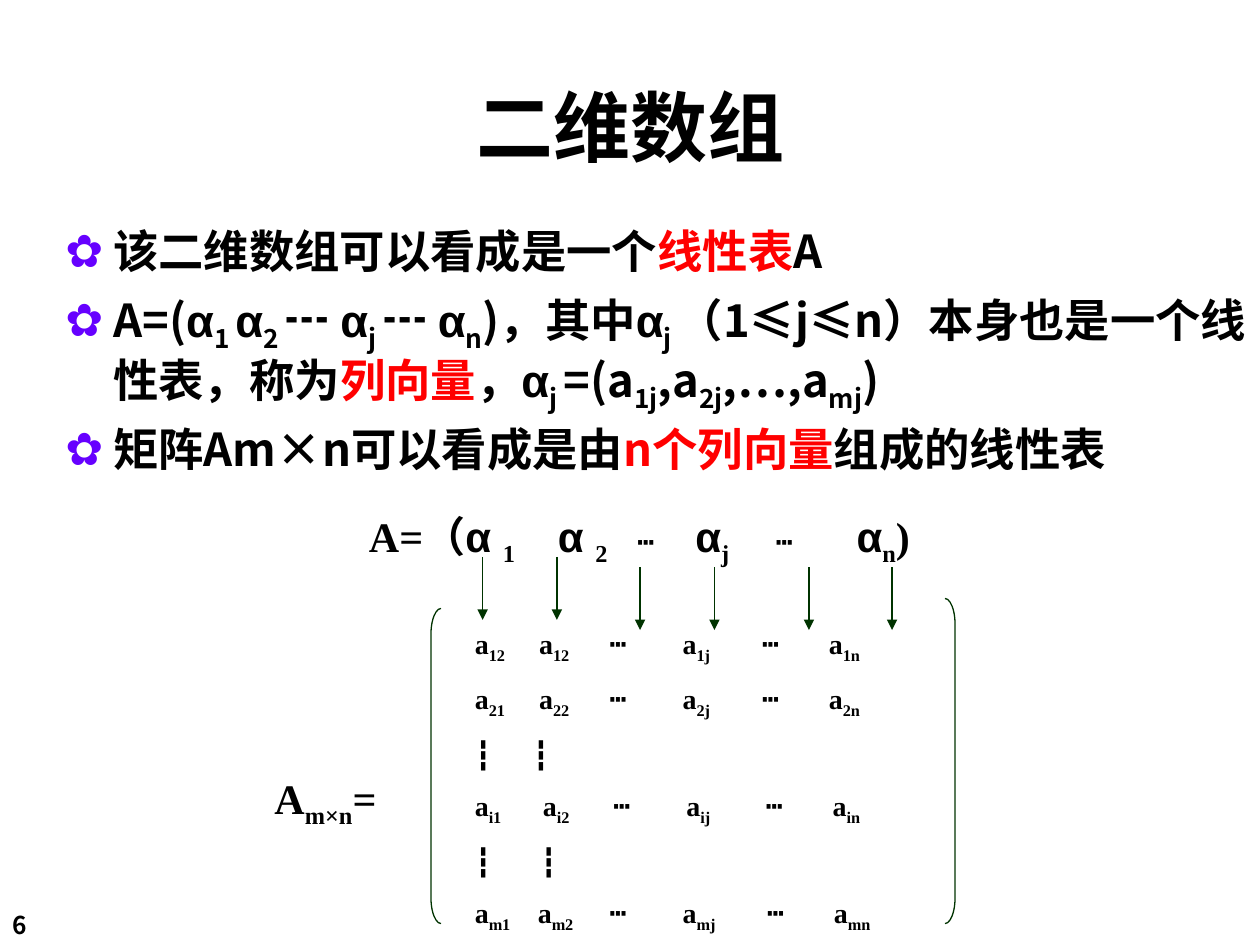
from dataclasses import dataclass

from lxml.etree import SubElement
from pptx import Presentation
from pptx.dml.color import RGBColor
from pptx.enum.shapes import MSO_CONNECTOR, MSO_SHAPE
from pptx.enum.text import MSO_ANCHOR, PP_ALIGN
from pptx.oxml.ns import qn
from pptx.util import Inches, Pt


@dataclass(frozen=True)
class Theme:
    ink: str = "000000"
    accent: str = "FF0000"
    bullet: str = "6600FF"
    line: str = "003300"
    sans: str = "Noto Sans CJK SC"
    serif: str = "Times New Roman"
    greek: str = "Arial"
    title_size: float = 44
    body_size: float = 25.9
    formula_size: float = 24
    matrix_size: float = 16
    number_size: float = 14
    line_width: float = 0.75


class SlideBuilder:
    def __init__(self, slide, theme):
        self.slide = slide
        self.theme = theme

    def run(self, paragraph, text, style, size, face):
        """Add text in a style: plain, sub, red, greek or small."""
        theme = self.theme
        run = paragraph.add_run()
        run.text = text
        name = theme.greek if style == "greek" else face
        points = theme.matrix_size if style == "small" else size
        font_values = {"name": name, "size": Pt(points), "bold": True}
        for key, value in font_values.items():
            setattr(run.font, key, value)
        color = theme.accent if style == "red" else theme.ink
        run.font.color.rgb = RGBColor.from_string(color)
        properties = run.font._element
        SubElement(properties, qn("a:ea"), typeface=name)
        if style == "sub":
            properties.set("baseline", "-25000")

    def bullet(self, paragraph):
        properties = paragraph._p.get_or_add_pPr()
        properties.set("marL", str(Inches(0.38)))
        properties.set("indent", str(-Inches(0.38)))
        color = SubElement(properties, qn("a:buClr"))
        SubElement(color, qn("a:srgbClr"), val=self.theme.bullet)
        SubElement(properties, qn("a:buFont"), typeface=self.theme.greek)
        SubElement(properties, qn("a:buChar"), char="✿")

    def tabs(self, paragraph, stops):
        tab_list = SubElement(paragraph._p.get_or_add_pPr(), qn("a:tabLst"))
        for stop in stops:
            SubElement(tab_list, qn("a:tab"), pos=str(Inches(stop)), algn="l")

    def text(self, box, paragraphs, size, face, stops=None, bullets=False,
             anchor=MSO_ANCHOR.TOP, paragraph_format=None, gap=0):
        """Write paragraphs of (text, style) pairs, with tab stops for each."""
        frame = self.slide.shapes.add_textbox(*map(Inches, box)).text_frame
        for key, value in {"word_wrap": True, "vertical_anchor": anchor}.items():
            setattr(frame, key, value)
        for index, parts in enumerate(paragraphs):
            paragraph = frame.add_paragraph() if index else frame.paragraphs[0]
            if bullets:
                self.bullet(paragraph)
            if stops:
                self.tabs(paragraph, stops[index])
            for key, value in (paragraph_format or {}).items():
                setattr(paragraph, key, value)
            if index:
                paragraph.space_before = Pt(gap)
            for part, style in parts:
                self.run(paragraph, part, style, size, face)

    def outline(self, line):
        line.color.rgb = RGBColor.from_string(self.theme.line)
        line.width = Pt(self.theme.line_width)

    def bracket(self, kind, box):
        shape = self.slide.shapes.add_shape(kind, *map(Inches, box))
        shape.shadow.inherit = False
        shape.fill.background()
        shape.adjustments[0] = 2.6
        self.outline(shape.line)

    def down_arrow(self, x, top, length=0.5):
        arrow = self.slide.shapes.add_connector(
            MSO_CONNECTOR.STRAIGHT,
            *map(Inches, (x, top, x, top + length)))
        self.outline(arrow.line)
        SubElement(arrow.line._get_or_add_ln(), qn("a:tailEnd"), type="triangle")
        SubElement(arrow._element.spPr, qn("a:effectLst"))


def matrix_row(row, first_column="1"):
    parts = []
    for column in (first_column, "2", None, "j", None, "n"):
        if parts:
            parts.append(("\t", "plain"))
        if column:
            parts += [("a", "plain"), (row + column, "sub")]
        else:
            parts.append(("┅", "plain"))
    return parts


def main():
    deck = Presentation()
    deck.slide_width, deck.slide_height = Inches(10), Inches(7.5)
    theme = Theme()
    page = SlideBuilder(deck.slides.add_slide(deck.slide_layouts[6]), theme)

    page.text((0, 7.17, 0.83, 0.34), [[("6", "plain")]],
              theme.number_size, theme.sans)
    page.text((0.42, 0.5, 9.17, 1), [[("二维数组", "plain")]],
              theme.title_size, theme.sans, anchor=MSO_ANCHOR.MIDDLE,
              paragraph_format={"alignment": PP_ALIGN.CENTER})

    alpha = ("α", "greek")
    statements = [
        [("该二维数组可以看成是一个", "plain"), ("线性表", "red"), ("A", "plain")],
        [("A=(", "plain"), alpha, ("1 ", "sub"), alpha, ("2 ", "sub"),
         ("┅ ", "plain"), alpha, ("j ", "sub"), ("┅ ", "plain"),
         alpha, ("n", "sub"), (")，其中", "plain"), alpha, ("j ", "sub"),
         ("（1≤j≤n）本身也是一个线性表，称为", "plain"), ("列向量", "red"),
         ("，", "plain"), alpha, ("j ", "sub"), ("=(a", "plain"),
         ("1j", "sub"), (",a", "plain"), ("2j", "sub"),
         (",…,a", "plain"), ("mj", "sub"), (")", "plain")],
        [("矩阵Am×n可以看成是由", "plain"), ("n个列向量", "red"),
         ("组成的线性表", "plain")],
    ]
    page.text((0.42, 1.75, 9.58, 2.25), statements, theme.body_size, theme.sans,
              bullets=True, gap=7, paragraph_format={"line_spacing": 0.97})

    tab, dots = ("\t", "plain"), ("┅", "small")
    column_vectors = [
        ("A=", "plain"), ("（", "greek"), ("α ", "greek"), ("1", "sub"),
        tab, ("α ", "greek"), ("2", "sub"), tab, dots,
        tab, alpha, ("j", "sub"), tab, dots,
        tab, alpha, ("n", "sub"), (")", "plain")]
    page.text((2.83, 4, 5.42, 0.56), [column_vectors],
              theme.formula_size, theme.serif,
              stops=[(1.5, 2.13, 2.59, 3.23, 3.87)])
    page.text((2.08, 6.08, 1.25, 0.56),
              [[("A", "plain"), ("m×n", "sub"), ("=", "plain")]],
              theme.formula_size, theme.serif)

    vertical_dots = [("┇\t┇", "plain")]
    matrix = [matrix_row("1", first_column="2"), matrix_row("2"), vertical_dots,
              matrix_row("i"), vertical_dots, matrix_row("m")]
    number_stops = (0.51, 1.07, 1.65, 2.28, 2.81)
    matrix_stops = [number_stops, number_stops, (0.46,),
                    (0.54, 1.1, 1.68, 2.31, 2.84), (0.52,),
                    (0.5, 1.07, 1.65, 2.32, 2.85)]
    page.text((3.67, 4.92, 3.83, 2.54), matrix, theme.matrix_size, theme.serif,
              stops=matrix_stops, gap=10)
    page.bracket(MSO_SHAPE.LEFT_BRACKET, (3.42, 4.83, 0.08, 2.5))
    page.bracket(MSO_SHAPE.RIGHT_BRACKET, (7.5, 4.75, 0.08, 2.58))

    for top, columns in ((4.42, (3.83, 4.42)), (4.5, (5.08, 5.67, 6.42, 7.08))):
        for x in columns:
            page.down_arrow(x, top)

    deck.save("out.pptx")


if __name__ == "__main__":
    main()
